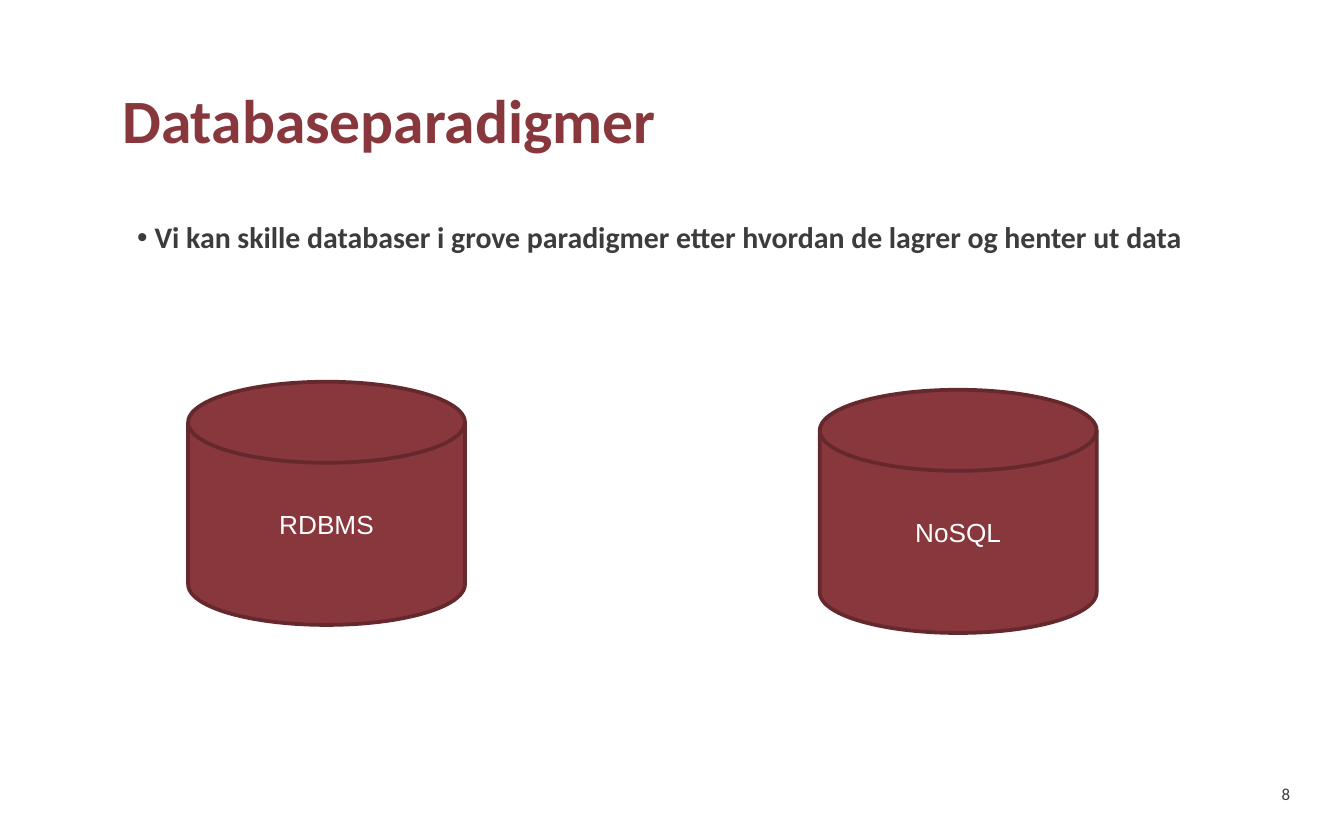
from lxml import etree
from pptx import Presentation
from pptx.dml.color import RGBColor
from pptx.enum.shapes import MSO_SHAPE
from pptx.enum.text import MSO_ANCHOR, MSO_AUTO_SIZE, PP_ALIGN
from pptx.oxml.ns import qn
from pptx.util import Inches, Pt

DISK = MSO_SHAPE.FLOWCHART_MAGNETIC_DISK
TOP, MIDDLE = MSO_ANCHOR.TOP, MSO_ANCHOR.MIDDLE
LEFT, CENTER, RIGHT = PP_ALIGN.LEFT, PP_ALIGN.CENTER, PP_ALIGN.RIGHT
NO_FIT = MSO_AUTO_SIZE.NONE

WINE = RGBColor(0x88, 0x37, 0x3D)
DARK_WINE = RGBColor(0x65, 0x29, 0x2D)
CHARCOAL = RGBColor(0x3C, 0x3C, 0x3B)
WHITE = RGBColor(0xFF, 0xFF, 0xFF)

COLUMNS, ROWS = 100, 62.2  # square grid cells


class SlideBuilder:
    """Holds the slide, its grid and its text style."""

    def __init__(self, prs):
        self.slide = prs.slides.add_slide(prs.slide_layouts[1])
        self.col = prs.slide_width / COLUMNS
        self.row = prs.slide_height / ROWS

    def box(self, x, y, w, h):
        return [round(v) for v in
                (x * self.col, y * self.row, w * self.col, h * self.row)]

    def set_text(self, sp, text, size, color, font="Calibri", bold=False,
                 align=LEFT, anchor=MIDDLE, inset=0.1):
        tf = sp.text_frame
        tf.word_wrap = True
        tf.auto_size = NO_FIT
        tf.vertical_anchor = anchor
        tf.margin_left = tf.margin_right = Inches(inset)
        tf.margin_top = tf.margin_bottom = Inches(inset)
        p = tf.paragraphs[0]
        p.text = text
        p.alignment = align
        p.font.name = font
        p.font.size = Pt(size)
        p.font.bold = bold
        p.font.color.rgb = color
        return p

    def place(self, sp, *cells):
        sp.left, sp.top, sp.width, sp.height = self.box(*cells)
        return sp

    def title(self, text, *cells):
        sp = self.place(self.slide.shapes.title, *cells)
        p = self.set_text(sp, text, 33, WINE, bold=True)
        p.line_spacing = 0.9

    def bullet(self, text, *cells):
        sp = self.place(self.slide.placeholders[1], *cells)
        p = self.set_text(sp, text, 16, CHARCOAL, bold=True, anchor=TOP)
        p.line_spacing = 0.9
        p.space_before = Pt(2)
        pPr = p._p.get_or_add_pPr()
        pPr.set("marL", str(Inches(0.24)))
        pPr.set("indent", str(Inches(-0.13)))
        font = etree.Element(qn("a:buFont"), typeface="Arial")
        char = etree.Element(qn("a:buChar"), char="•")
        at = pPr.index(pPr.find(qn("a:defRPr")))
        pPr[at:at] = [font, char]

    def number(self, text, *cells):
        sp = self.slide.shapes.add_textbox(*self.box(*cells))
        self.set_text(sp, text, 9, CHARCOAL, align=RIGHT, inset=0)

    def database(self, text, *cells):
        sp = self.slide.shapes.add_shape(DISK, *self.box(*cells))
        sp.shadow.inherit = False
        sp.fill.solid()
        sp.fill.fore_color.rgb = WINE
        sp.line.color.rgb = DARK_WINE
        sp.line.width = Pt(2)
        self.set_text(sp, text, 14, WHITE, font="Arial", align=CENTER,
                      inset=0.05)


def main():
    prs = Presentation()
    prs.slide_width, prs.slide_height = Inches(10), Inches(6.22)
    s = SlideBuilder(prs)

    # Heading and claim
    s.title("Databaseparadigmer", 8.1, 5.9, 83.9, 6.6)
    s.bullet("Vi kan skille databaser i grove paradigmer etter hvordan "
             "de lagrer og henter ut data", 8.1, 15.6, 83.9, 37.4)

    # Slide number
    s.number("8", 93.5, 58.2, 2.5, 1.7)

    # The two paradigms
    for name, x, y in (("RDBMS", 14, 28.4), ("NoSQL", 61, 29)):
        s.database(name, x, y, 20.6, 18.1)

    prs.save("out.pptx")


if __name__ == "__main__":
    main()
